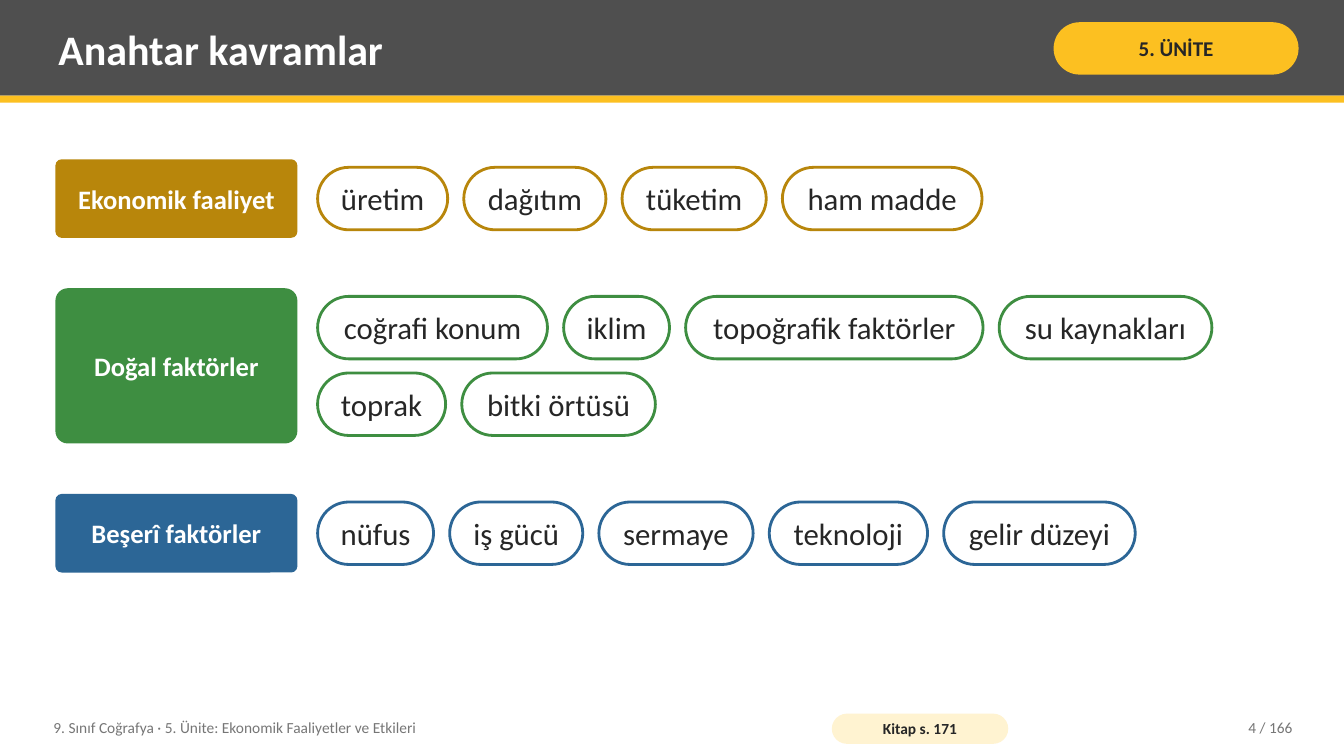
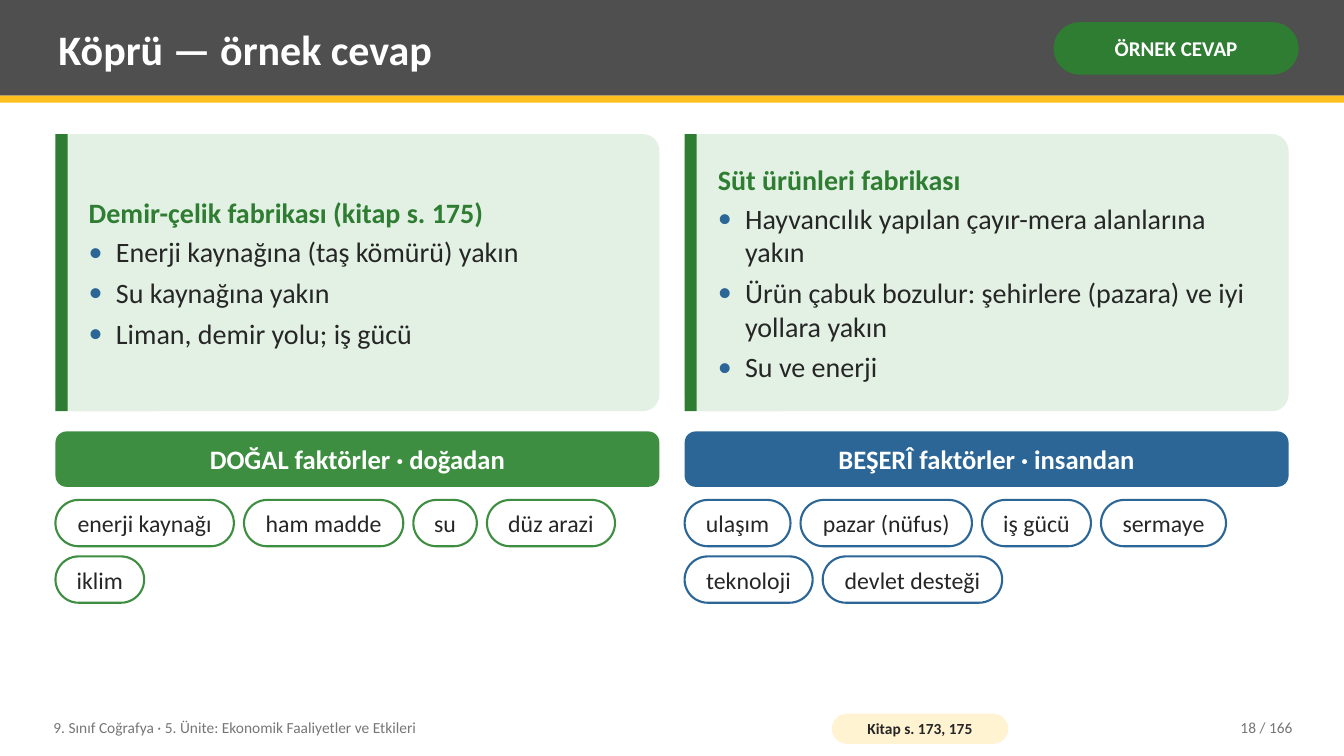
import pptx
import pptx.util
import pptx.dml.color
import pptx.enum.shapes
import pptx.enum.text
import lxml.etree

Inches, Pt = pptx.util.Inches, pptx.util.Pt
RGB = pptx.dml.color.RGBColor
KIND = pptx.enum.shapes.MSO_SHAPE
ALIGN = pptx.enum.text.PP_ALIGN
MIDDLE = pptx.enum.text.MSO_ANCHOR.MIDDLE

FONT = "Calibri"
WHITE = RGB(0xFF, 0xFF, 0xFF)
INK = RGB(0x26, 0x26, 0x26)
GRAY = RGB(0x76, 0x76, 0x76)
SLATE = RGB(0x4F, 0x4F, 0x4F)
YELLOW = RGB(0xFC, 0xC0, 0x21)
CREAM = RGB(0xFF, 0xF3, 0xD1)
GOLD = RGB(0xB8, 0x86, 0x0B)
GREEN = RGB(0x3E, 0x8E, 0x41)
FOREST = RGB(0x2E, 0x7D, 0x32)
MINT = RGB(0xE3, 0xF1, 0xE4)
BLUE = RGB(0x2C, 0x66, 0x96)

WIDTH, HEIGHT = 13.33, 7.5
LEFT, RIGHT = 0.55, 12.78
COURSE = "9. Sınıf Coğrafya · 5. Ünite: Ekonomik Faaliyetler ve Etkileri"
TOTAL = 166

# Chip styles: height, column gap, row gap, text size, line width, insets
LARGE = (0.62, 0.16, 0.14, 22, 2, (0.08, 0.02))
SMALL = (0.46, 0.1, 0.1, 17, 1.5, (0.06, 0))


def style(par, size, color, bold=False, align=ALIGN.LEFT):
    par.alignment = align
    font = par.font
    font.name, font.size, font.bold = FONT, Pt(size), bold
    font.color.rgb = color


def frame(shape, pad):
    """Wrap and centre the text vertically; pad is (sides, top and bottom)."""
    text = shape.text_frame
    text.word_wrap = True
    text.vertical_anchor = MIDDLE
    text.margin_left = text.margin_right = Inches(pad[0])
    text.margin_top = text.margin_bottom = Inches(pad[1])
    return text


def block(slide, box, fill, round=None, line=None, weight=1):
    kind = KIND.RECTANGLE if round is None else KIND.ROUNDED_RECTANGLE
    shape = slide.shapes.add_shape(kind, *map(Inches, box))
    shape.shadow.inherit = False
    if round is not None:
        shape.adjustments[0] = round
    shape.fill.solid()
    shape.fill.fore_color.rgb = fill
    if line is None:
        shape.line.fill.background()
    else:
        shape.line.color.rgb = line
        shape.line.width = Pt(weight)
    return shape


def label(shape, words, size, color, bold=True, pad=(0.14, 0.08)):
    par = frame(shape, pad).paragraphs[0]
    par.text = words
    style(par, size, color, bold, ALIGN.CENTER)


def text_box(slide, box):
    return frame(slide.shapes.add_textbox(*map(Inches, box)), (0.08, 0.04))


def note(slide, box, words, size, color, bold=False, align=ALIGN.LEFT):
    par = text_box(slide, box).paragraphs[0]
    par.text = words
    style(par, size, color, bold, align)


def header(slide, title, badge, fill, color):
    block(slide, (0, 0, WIDTH, 0.95), SLATE)
    block(slide, (0, 0.95, WIDTH, 0.07), YELLOW)
    note(slide, (0.5, 0.07, 9.75, 0.82), title, 30, WHITE, True)
    pill = block(slide, (10.45, 0.22, 2.43, 0.52), fill, 0.5)
    label(pill, badge, 15, color, pad=(0.05, 0.02))


def footer(slide, source, page):
    note(slide, (0.45, 7.04, 7.6, 0.36), COURSE, 11, GRAY)
    pill = block(slide, (8.25, 7.08, 1.75, 0.3), CREAM, 0.5)
    label(pill, source, 11, INK, pad=(0.04, 0))
    note(slide, (11.3, 7.04, 1.6, 0.36), f"{page} / {TOTAL}", 11, GRAY,
         align=ALIGN.RIGHT)


def chips(slide, left, top, right, items, color, look):
    """Set chips in rows that break at right; return the bottom edge."""
    height, gap, lead, size, weight, pad = look
    x = left
    for words, width in items:
        if x + width > right:
            x = left
            top += height + lead
        chip = block(slide, (x, top, width, height), WHITE, 0.5, color, weight)
        label(chip, words, size, INK, False, pad)
        x += width + gap
    return top + height


def group(slide, top, name, color, items):
    """Draw a named row of terms; return its bottom edge."""
    pad = 0.08
    end = chips(slide, 3.15, top + pad, RIGHT, items, color, LARGE) + pad
    tag = block(slide, (LEFT, top, 2.4, end - top), color, 0.08)
    label(tag, name, 19, WHITE)
    return end


def bullet(par, color):
    props = par._p.get_or_add_pPr()
    props.set("marL", str(Inches(0.27)))
    props.set("indent", str(-Inches(0.27)))
    space = "{http://schemas.openxmlformats.org/drawingml/2006/main}"
    tint = lxml.etree.SubElement(props, space + "buClr")
    lxml.etree.SubElement(tint, space + "srgbClr", val=str(color))
    lxml.etree.SubElement(props, space + "buFont", typeface=FONT)
    lxml.etree.SubElement(props, space + "buChar", char="•")


def card(slide, box, title, points):
    x, y, width, height = box
    block(slide, box, MINT, 0.06)
    block(slide, (x, y, 0.12, height), FOREST)
    text = text_box(slide, (x + 0.25, y + 0.06, width - 0.35, height - 0.12))
    head = text.paragraphs[0]
    head.text = title
    head.space_after = Pt(4)
    style(head, 20, FOREST, True)
    for point in points:
        par = text.add_paragraph()
        par.text = point
        bullet(par, BLUE)
        if point != points[-1]:
            par.space_after = Pt(5)
        style(par, 20, INK)


def column(slide, left, width, title, points, name, color, items):
    card(slide, (left, 1.33, width, 2.75), title, points)
    bar = block(slide, (left, 4.28, width, 0.55), color, 0.2)
    label(bar, name, 19, WHITE)
    chips(slide, left, 4.96, left + width, items, color, SMALL)


def terms(slide):
    header(slide, "Anahtar kavramlar", "5. ÜNİTE", YELLOW, INK)
    groups = [
        ("Ekonomik faaliyet", GOLD, [
            ("üretim", 1.29), ("dağıtım", 1.41), ("tüketim", 1.43),
            ("ham madde", 1.98)]),
        ("Doğal faktörler", GREEN, [
            ("coğrafi konum", 2.28), ("iklim", 1.05),
            ("topoğrafik faktörler", 2.95), ("su kaynakları", 2.11),
            ("toprak", 1.27), ("bitki örtüsü", 1.92)]),
        ("Beşerî faktörler", BLUE, [
            ("nüfus", 1.15), ("iş gücü", 1.32), ("sermaye", 1.53),
            ("teknoloji", 1.57), ("gelir düzeyi", 1.9)]),
    ]
    top = 1.58
    for name, color, items in groups:
        top = group(slide, top, name, color, items) + 0.5
    footer(slide, "Kitap s. 171", 4)


def answer(slide):
    header(slide, "Köprü — örnek cevap", "ÖRNEK CEVAP", FOREST, WHITE)
    columns = [
        ("Demir-çelik fabrikası (kitap s. 175)",
         ["Enerji kaynağına (taş kömürü) yakın", "Su kaynağına yakın",
          "Liman, demir yolu; iş gücü"],
         "DOĞAL faktörler · doğadan", GREEN,
         [("enerji kaynağı", 1.77), ("ham madde", 1.58), ("su", 0.63),
          ("düz arazi", 1.27), ("iklim", 0.88)]),
        ("Süt ürünleri fabrikası",
         ["Hayvancılık yapılan çayır-mera alanlarına yakın",
          "Ürün çabuk bozulur: şehirlere (pazara) ve iyi yollara yakın",
          "Su ve enerji"],
         "BEŞERÎ faktörler · insandan", BLUE,
         [("ulaşım", 1.05), ("pazar (nüfus)", 1.7), ("iş gücü", 1.08),
          ("sermaye", 1.24), ("teknoloji", 1.27), ("devlet desteği", 1.78)]),
    ]
    gap = 0.25
    width = (RIGHT - LEFT - gap) / 2
    for i, parts in enumerate(columns):
        column(slide, LEFT + i * (width + gap), width, *parts)
    footer(slide, "Kitap s. 173, 175", 18)


def main():
    deck = pptx.Presentation()
    deck.slide_width, deck.slide_height = Inches(WIDTH), Inches(HEIGHT)
    for build in (terms, answer):
        build(deck.slides.add_slide(deck.slide_layouts[6]))
    deck.save("out.pptx")


if __name__ == "__main__":
    main()
